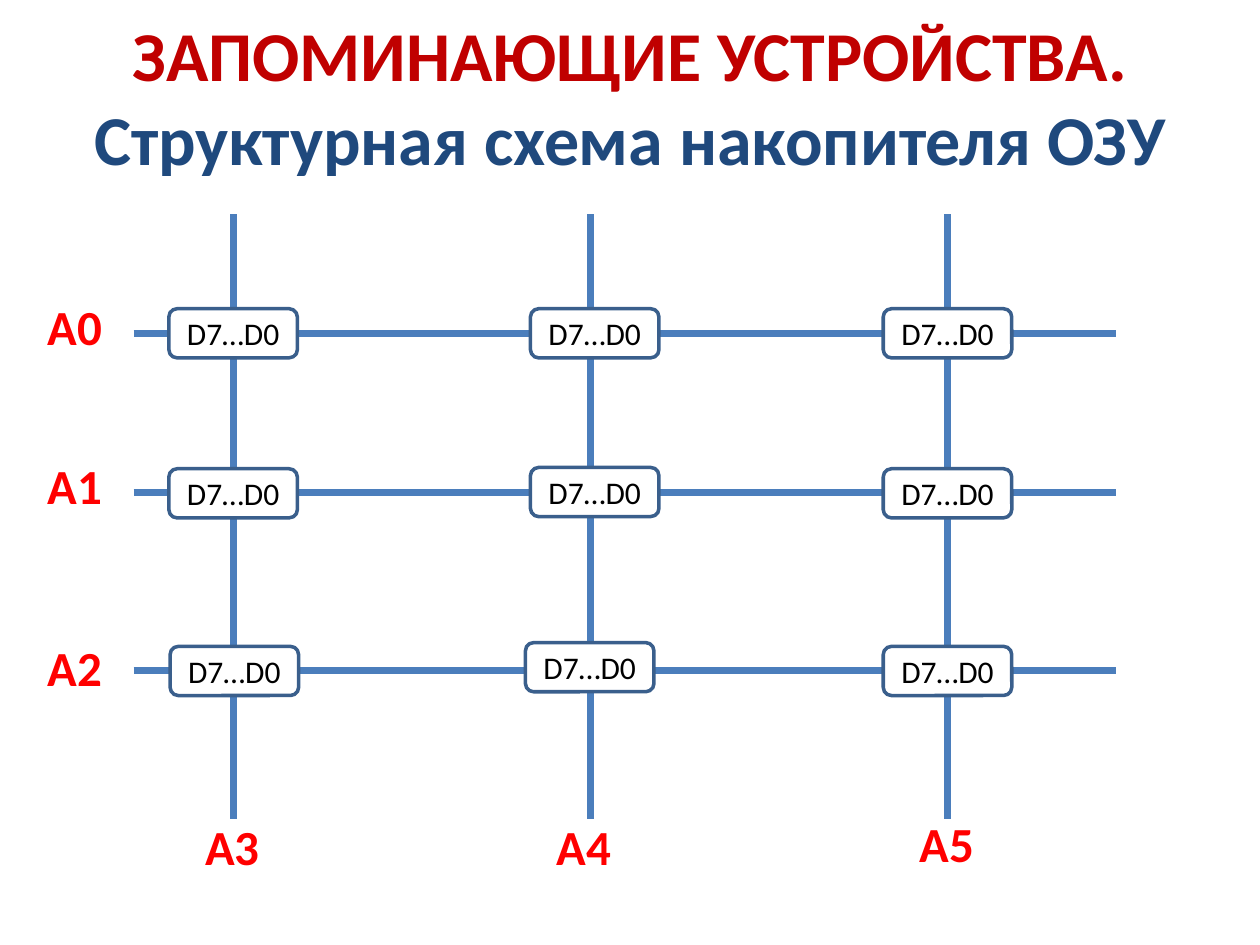
from dataclasses import dataclass

from lxml.etree import SubElement
from pptx import Presentation
from pptx.dml.color import RGBColor
from pptx.enum.shapes import MSO_CONNECTOR, MSO_SHAPE
from pptx.enum.text import MSO_ANCHOR, MSO_AUTO_SIZE, PP_ALIGN
from pptx.oxml.ns import qn
from pptx.slide import Slide
from pptx.text.text import TextFrame
from pptx.util import Inches, Pt

COLORS = {
    "heading": "C00000",
    "subheading": "1F497D",
    "bus": "4B7EBC",
    "cell_fill": "FFFFFF",
    "cell_line": "3A5F8C",
    "cell_text": "000000",
    "address": "FF0000",
}
FONT = "Calibri"
CELL_WIDTH, CELL_HEIGHT = 1.02, 0.39
ROW_START, ROW_END = 1.06, 8.86
COLUMN_START, COLUMN_END = 1.7, 6.5


@dataclass
class AddressLine:
    """A bus line: its coordinate, where its cells start, and its label."""
    name: str
    position: float
    cell_start: float
    label_left: float
    label_top: float


ROWS = [
    AddressLine("A0", 2.65, 2.45, 0.28, 2.39),
    AddressLine("A1", 3.91, 3.72, 0.28, 3.66),
    AddressLine("A2", 5.32, 5.13, 0.28, 5.1),
]
COLUMNS = [
    AddressLine("A3", 1.85, 1.34, 1.53, 6.52),
    AddressLine("A4", 4.69, 4.21, 4.32, 6.52),
    AddressLine("A5", 7.52, 7.01, 7.2, 6.5),
]
# Small shifts of single cells from the grid
CELL_SHIFTS = {
    ("A1", "A4"): (0, -0.01),
    ("A2", "A3"): (0.01, 0),
    ("A2", "A4"): (-0.04, -0.03),
}


def color(name: str) -> RGBColor:
    return RGBColor.from_string(COLORS[name])


def format_paragraph(para, size: float, color_name: str, bold: bool) -> None:
    for span in para.runs:
        span.font.name = FONT
        span.font.size = Pt(size)
        span.font.bold = bold
        span.font.color.rgb = color(color_name)


def set_margins(frame: TextFrame, horizontal: float, vertical: float) -> None:
    frame.margin_left = frame.margin_right = Inches(horizontal)
    frame.margin_top = frame.margin_bottom = Inches(vertical)


def fill_title(page: Slide) -> None:
    title = page.shapes.title
    title.left, title.top = Inches(0), Inches(0.44)
    title.width, title.height = Inches(10), Inches(0.64)
    frame = title.text_frame
    frame.text = "ЗАПОМИНАЮЩИЕ УСТРОЙСТВА.\nСтруктурная схема накопителя ОЗУ"
    frame.auto_size = MSO_AUTO_SIZE.NONE
    frame.vertical_anchor = MSO_ANCHOR.MIDDLE
    for para, color_name in zip(frame.paragraphs, ("heading", "subheading")):
        para.alignment = PP_ALIGN.CENTER
        format_paragraph(para, 40, color_name, True)


def draw_bus(page: Slide, x1: float, y1: float, x2: float, y2: float) -> None:
    bus = page.shapes.add_connector(
        MSO_CONNECTOR.STRAIGHT, Inches(x1), Inches(y1), Inches(x2), Inches(y2))
    bus.line.color.rgb = color("bus")
    bus.line.width = Pt(4)
    SubElement(bus._element.spPr, qn("a:effectLst"))


def draw_cell(page: Slide, left: float, top: float) -> None:
    cell = page.shapes.add_shape(
        MSO_SHAPE.ROUNDED_RECTANGLE, Inches(left), Inches(top),
        Inches(CELL_WIDTH), Inches(CELL_HEIGHT))
    cell.shadow.inherit = False
    cell.fill.solid()
    cell.fill.fore_color.rgb = color("cell_fill")
    cell.line.color.rgb = color("cell_line")
    cell.line.width = Pt(2)
    frame = cell.text_frame
    frame.text = "D7…D0"
    frame.vertical_anchor = MSO_ANCHOR.MIDDLE
    set_margins(frame, 0.1, 0.05)
    para = frame.paragraphs[0]
    para.alignment = PP_ALIGN.CENTER
    format_paragraph(para, 18, "cell_text", False)


def draw_label(page: Slide, address: AddressLine) -> None:
    box = page.shapes.add_textbox(
        Inches(address.label_left), Inches(address.label_top),
        Inches(0.64), Inches(0.49))
    frame = box.text_frame
    frame.text = address.name
    frame.word_wrap = False
    frame.auto_size = MSO_AUTO_SIZE.SHAPE_TO_FIT_TEXT
    set_margins(frame, 0.1, 0.05)
    para = frame.paragraphs[0]
    para.line_spacing = 0.8
    format_paragraph(para, 28, "address", True)


def main() -> None:
    deck = Presentation()
    deck.slide_width, deck.slide_height = Inches(10), Inches(7.5)
    page = deck.slides.add_slide(deck.slide_layouts[5])
    fill_title(page)

    # Row and column lines
    for row in ROWS:
        draw_bus(page, ROW_START, row.position, ROW_END, row.position)
    for column in COLUMNS:
        draw_bus(page, column.position, COLUMN_START, column.position, COLUMN_END)

    # Memory cells at the crossings
    for row in ROWS:
        for column in COLUMNS:
            shift_x, shift_y = CELL_SHIFTS.get((row.name, column.name), (0, 0))
            draw_cell(page, column.cell_start + shift_x, row.cell_start + shift_y)

    # Address labels
    for address in ROWS + COLUMNS:
        draw_label(page, address)

    deck.save("out.pptx")


if __name__ == "__main__":
    main()
